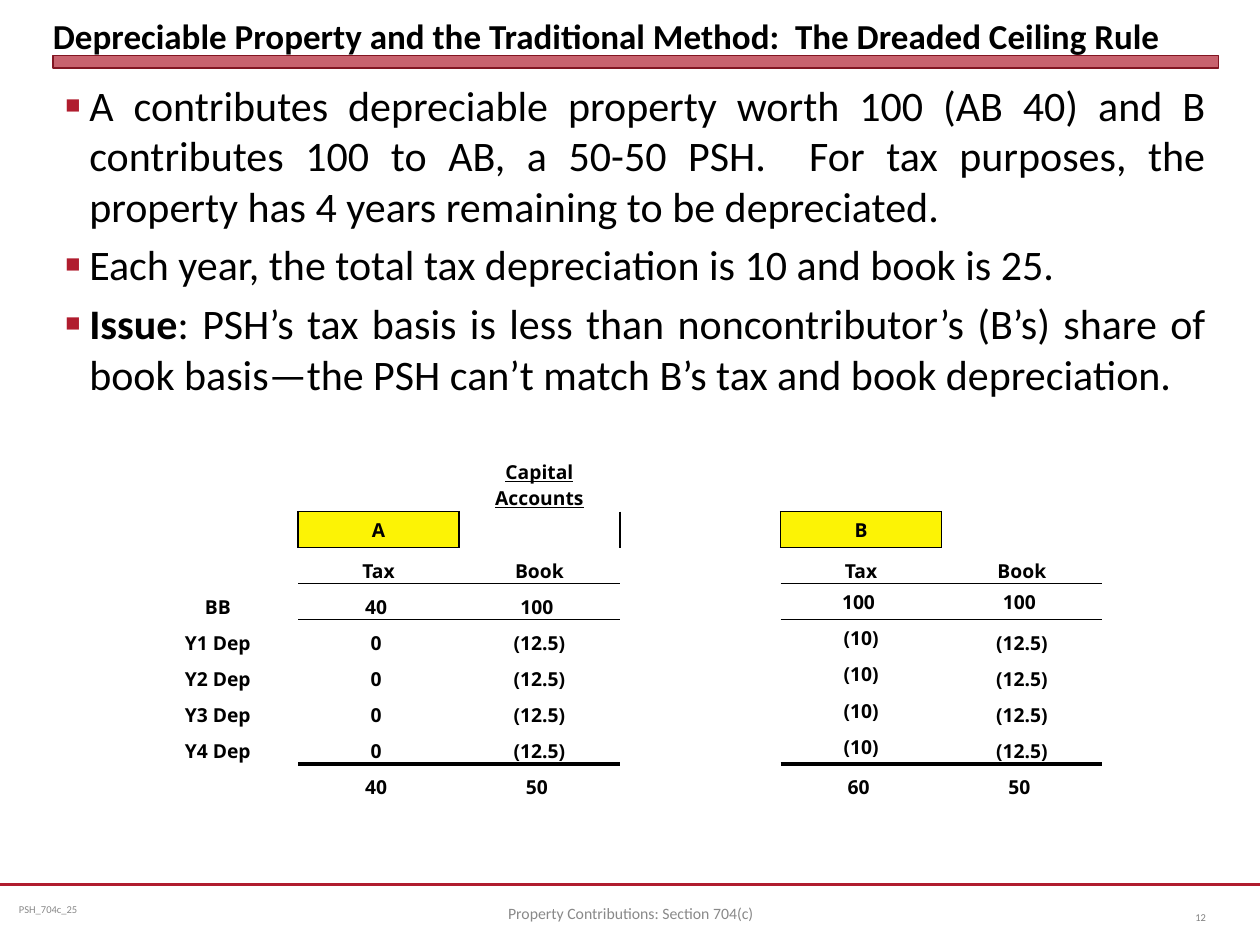
from lxml import etree
from pptx import Presentation
from pptx import util as u
from pptx.dml.color import RGBColor
from pptx.enum import shapes, text
from pptx.oxml import ns

BLACK = RGBColor(0x00, 0x00, 0x00)
CRIMSON = RGBColor(0xB0, 0x1C, 0x2E)
DARK_RED = RGBColor(0x82, 0x15, 0x22)
YELLOW = RGBColor(0xFC, 0xF3, 0x05)
GREY = RGBColor(0x89, 0x89, 0x89)
MID_GREY = RGBColor(0x80, 0x80, 0x80)

LEFT, CENTER, RIGHT, JUSTIFY = (text.PP_ALIGN.LEFT, text.PP_ALIGN.CENTER,
                                text.PP_ALIGN.RIGHT, text.PP_ALIGN.JUSTIFY)
MIDDLE, BOTTOM, TOP = (text.MSO_ANCHOR.MIDDLE, text.MSO_ANCHOR.BOTTOM,
                       text.MSO_ANCHOR.TOP)
NO_GRID_STYLE = "{2D5ABB26-0587-4C30-8999-92F81FD0307C}"


def add_xml(parent, tag, **attributes):
    return etree.SubElement(parent, ns.qn(tag), attributes)


class PageBuilder:
    font = "Calibri"
    table_font = "Open Sans"
    table_size = 11

    def __init__(self, page):
        self.page = page

    def style(self, span, size, color=BLACK, bold=False, font=None):
        span.font.name = font or self.font
        span.font.size = u.Pt(size)
        span.font.bold = bold
        span.font.color.rgb = color

    def text_box(self, place, anchor, margins=(0.1, 0.05)):
        box = self.page.shapes.add_textbox(*map(u.Inches, place))
        frame = box.text_frame
        frame.word_wrap = True
        frame.vertical_anchor = anchor
        frame.margin_left = frame.margin_right = u.Inches(margins[0])
        frame.margin_top = frame.margin_bottom = u.Inches(margins[1])
        return frame

    def label(self, wording, place, size, color, align=LEFT, anchor=MIDDLE,
              bold=False, margins=(0.1, 0.05)):
        frame = self.text_box(place, anchor, margins)
        frame.text = wording
        para = frame.paragraphs[0]
        para.alignment = align
        self.style(para.runs[0], size, color, bold)

    def bullets(self, items, place, size):
        """Each item is a pair: bold lead-in and plain text."""
        frame = self.text_box(place, TOP)
        for number, (lead, wording) in enumerate(items):
            para = frame.add_paragraph() if number else frame.paragraphs[0]
            para.alignment = JUSTIFY
            for part, bold in ((lead, True), (wording, False)):
                if part:
                    span = para.add_run()
                    span.text = part
                    self.style(span, size, bold=bold)
            props = para._p.get_or_add_pPr()
            props.set("marL", str(u.Inches(0.19)))
            props.set("indent", str(-u.Inches(0.19)))
            add_xml(add_xml(props, "a:spcBef"), "a:spcPct", val="20000")
            add_xml(add_xml(props, "a:buClr"), "a:srgbClr", val=str(CRIMSON))
            add_xml(props, "a:buSzPct", val="60000")
            add_xml(props, "a:buFont", typeface="Arial")
            add_xml(props, "a:buChar", char="■")

    def bar(self, place, fill, outline, opacity):
        box = self.page.shapes.add_shape(shapes.MSO_SHAPE.RECTANGLE,
                                         *map(u.Inches, place))
        box.shadow.inherit = False
        box.fill.solid()
        box.fill.fore_color.rgb = fill
        color = box._element.spPr.find(ns.qn("a:solidFill"))[0]
        add_xml(color, "a:alpha", val=str(opacity * 1000))
        box.line.color.rgb = outline
        box.line.width = u.Pt(0)

    def line(self, start, end, color, width):
        rule = self.page.shapes.add_connector(
            shapes.MSO_CONNECTOR.STRAIGHT, *map(u.Inches, start + end))
        rule.line.color.rgb = color
        rule.line.width = u.Pt(width)
        add_xml(rule._element.spPr, "a:effectLst")

    def cell(self, cell, wording, anchor, borders, fill=None, underline=False):
        cell.margin_left = cell.margin_right = cell.margin_top = u.Inches(0.01)
        cell.margin_bottom = 0
        cell.vertical_anchor = anchor
        cell.text = wording
        para = cell.text_frame.paragraphs[0]
        para.alignment = CENTER
        if wording:
            self.style(para.runs[0], self.table_size, bold=True,
                       font=self.table_font)
            para.runs[0].font.underline = underline
        else:
            add_xml(para._p, "a:endParaRPr", sz=str(self.table_size * 100))
        for side in "LRTB":
            if side in borders:
                edge = add_xml(cell._tc.get_or_add_tcPr(), f"a:ln{side}",
                               w=str(u.Pt(borders[side])))
                add_xml(add_xml(edge, "a:solidFill"), "a:srgbClr",
                        val=str(BLACK))
        if fill is None:
            cell.fill.background()
        else:
            cell.fill.solid()
            cell.fill.fore_color.rgb = fill

    def table(self, rows, place, first_height):
        left, top, width, height = place
        table = self.page.shapes.add_table(
            len(rows), len(rows[0]), *map(u.Inches, place)).table
        table.first_row = table.horz_banding = False
        table._tbl.tblPr.find(ns.qn("a:tableStyleId")).text = NO_GRID_STYLE
        for column in table.columns:
            column.width = u.Inches(width / len(rows[0]))
        other_height = (height - first_height) / (len(rows) - 1)
        for number, row in enumerate(table.rows):
            row.height = u.Inches(other_height if number else first_height)
        return table


# Capital account table: headings, yearly depreciation, closing balances
YEARS = [[f"Y{year} Dep", "0 ", "(12.5)", "", "(10)", "(12.5)"]
         for year in range(1, 5)]
ACCOUNTS = [
    ["", "", "Capital Accounts", "", "", ""],
    ["", "A", "", "", "B", ""],
    ["", "Tax", "Book", "", "Tax", "Book"],
    ["BB", "40 ", "100 ", "", "100 ", "100 "],
    *YEARS,
    ["", "40 ", "50 ", "", "60 ", "50 "],
]
PARTNER_ROW, HEADING_ROW, LAST_YEAR_ROW = 1, 2, 7
PARTNER_COLUMNS = (1, 4)


def account_borders():
    """Map (row, column) to its border widths, set on both sides of an edge."""
    borders = {}

    def edge(row, column, side, width):
        borders.setdefault((row, column), {})[side] = width

    def rule_below(row, column, width):
        edge(row, column, "B", width)
        edge(row + 1, column, "T", width)

    def rule_right(row, column, width):
        edge(row, column, "R", width)
        edge(row, column + 1, "L", width)

    for tax in PARTNER_COLUMNS:
        for row in (PARTNER_ROW - 1, PARTNER_ROW):
            rule_below(row, tax, 1)
        for column in (tax - 1, tax):
            rule_right(PARTNER_ROW, column, 1)
        for column in (tax, tax + 1):
            rule_below(HEADING_ROW, column, 1)
            rule_below(LAST_YEAR_ROW, column, 2)
    return borders


def account_anchor(row, column):
    partner_name = row == PARTNER_ROW
    b_tax = column == 4 and HEADING_ROW < row <= LAST_YEAR_ROW
    b_opening_book = (row, column) == (HEADING_ROW + 1, 5)
    return MIDDLE if partner_name or b_tax or b_opening_book else BOTTOM


def main():
    deck = Presentation()
    deck.slide_width, deck.slide_height = u.Inches(10), u.Inches(7.5)
    builder = PageBuilder(deck.slides.add_slide(deck.slide_layouts[6]))

    # Footer rule and title bar
    builder.line((0, 7.02), (10, 7.02), CRIMSON, 1.25)
    builder.label("PSH_704c_25", (0.08, 7.02, 2.58, 0.4), 6, GREY,
                  margins=(0.07, 0.04))
    builder.bar((0.42, 0.44, 9.25, 0.1), CRIMSON, DARK_RED, 69)

    # Body and title
    builder.bullets([
        ("", "A contributes depreciable property worth 100 (AB 40) and B "
             "contributes 100 to AB, a 50-50 PSH.  For tax purposes, the "
             "property has 4 years remaining to be depreciated."),
        ("", "Each year, the total tax depreciation is 10 and book is 25."),
        ("Issue", ": PSH’s tax basis is less than noncontributor’s (B’s) share "
                  "of book basis—the PSH can’t match B’s tax and book "
                  "depreciation."),
    ], (0.42, 0.58, 9.25, 6.36), 24)
    builder.label("Depreciable Property and the Traditional Method:  "
                  "The Dreaded Ceiling Rule", (0.42, 0.05, 9.25, 0.4), 20,
                  BLACK, anchor=BOTTOM, bold=True, margins=(0, 0))

    # Page number and footer
    builder.label("12", (9.17, 7.08, 0.5, 0.4), 6, MID_GREY, RIGHT)
    builder.label("Property Contributions: Section 704(c)",
                  (3.42, 7.05, 3.17, 0.4), 9, GREY, CENTER)

    # Capital accounts
    table = builder.table(ACCOUNTS, (1.09, 3.28, 7.66, 3.07), 0.78)
    borders = account_borders()
    for row, wordings in enumerate(ACCOUNTS):
        for column, wording in enumerate(wordings):
            named = row == PARTNER_ROW and column in PARTNER_COLUMNS
            builder.cell(table.cell(row, column), wording,
                         account_anchor(row, column),
                         borders.get((row, column), {}),
                         YELLOW if named else None, underline=row == 0)

    deck.save("out.pptx")


if __name__ == "__main__":
    main()
